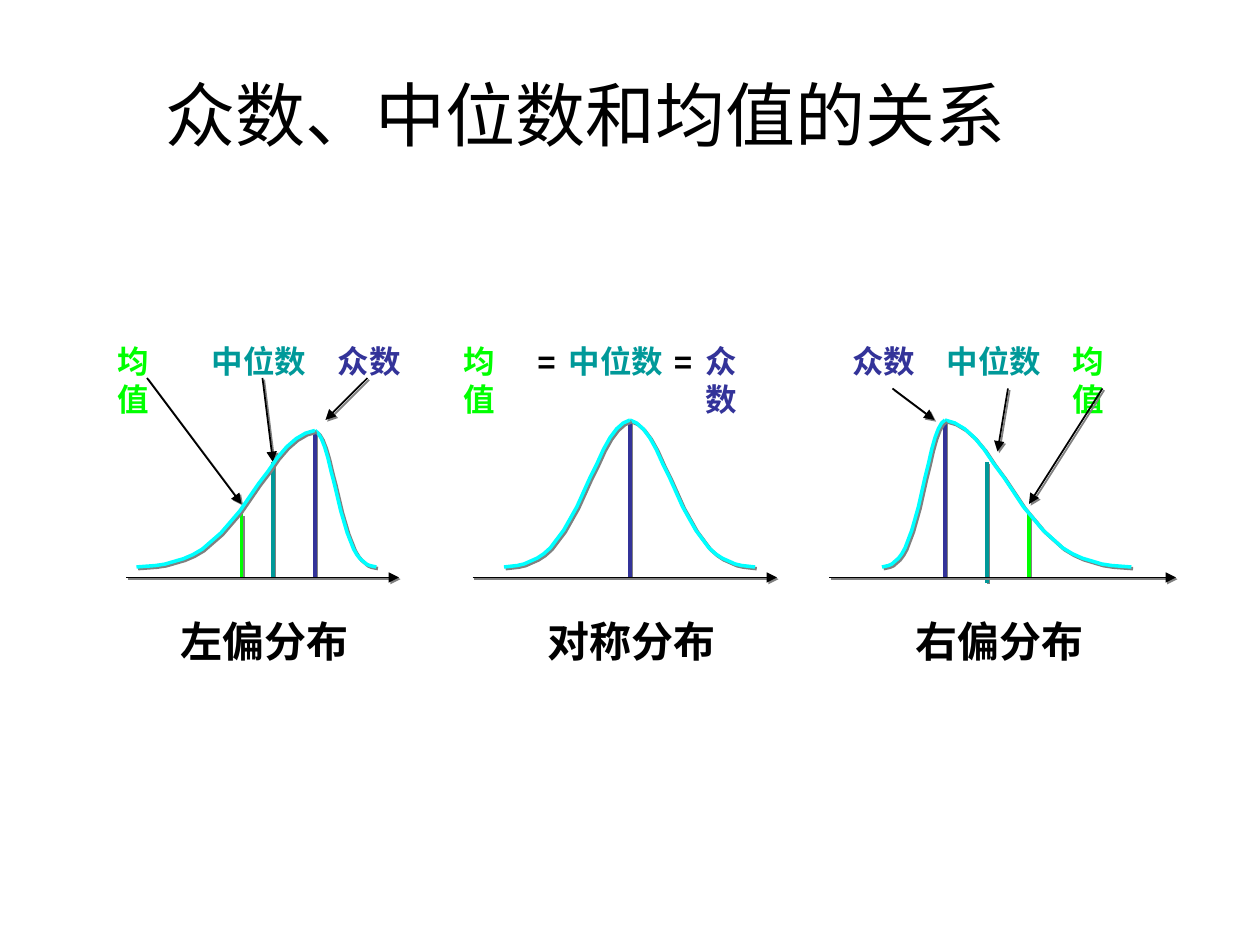
from dataclasses import dataclass
from itertools import pairwise

from lxml.etree import SubElement
from pptx import Presentation
from pptx.dml.color import RGBColor
from pptx.enum.shapes import MSO_CONNECTOR
from pptx.enum.text import MSO_ANCHOR, PP_ALIGN
from pptx.oxml.ns import qn
from pptx.util import Pt


@dataclass(frozen=True)
class Theme:
    """Colours, font and sizes of the slide."""
    ink: str = "000000"
    mean: str = "00FF00"
    median: str = "009999"
    mode: str = "333399"
    curve: str = "00FFFF"
    shade: str = "808080"
    font: str = "Arial"
    title: int = 40
    caption: int = 24
    label: int = 18
    thin: int = 1
    thick: int = 2
    shade_offset: float = 1.4


def add_shade(properties, theme):
    """Give line or run properties a hard diagonal shadow."""
    effects = SubElement(properties, qn("a:effectLst"))
    shadow = SubElement(effects, qn("a:outerShdw"), blurRad="0",
                        dist=str(Pt(theme.shade_offset)), dir="2700000", algn="ctr", rotWithShape="0")
    SubElement(shadow, qn("a:srgbClr"), val=theme.shade)


def write_text(frame, text, theme, size, color, bold=True, align=PP_ALIGN.LEFT, shaded=True):
    """Write one formatted line of text into a frame."""
    paragraph = frame.paragraphs[0]
    paragraph.alignment = align
    run = paragraph.add_run()
    run.text = text
    run.font.size, run.font.bold = Pt(size), bold
    run.font.color.rgb = RGBColor.from_string(color)
    if shaded:
        add_shade(run.font._element, theme)
    run.font.name = theme.font


class Diagram:
    """Draws text, lines and curves on one slide in one theme."""

    PROFILE = list(zip((0, 2, 3, 4, 5, 6, 7, 9, 11, 13, 14, 15, 16, 17, 18, 19),
                       (0, .01, .02, .04, .06, .09, .13, .25, .41, .61, .7, .8, .88, .94, .98, 1)))

    def __init__(self, slide, theme):
        """Keep the slide and the theme."""
        self.shapes, self.theme = slide.shapes, theme

    def text(self, text, left, top, width, height, anchor=MSO_ANCHOR.TOP, **style):
        """Add a wrapping text box."""
        frame = self.shapes.add_textbox(Pt(left), Pt(top), Pt(width), Pt(height)).text_frame
        frame.word_wrap, frame.vertical_anchor = True, anchor
        write_text(frame, text, self.theme, **style)

    def outline(self, shape, color, weight):
        """Style the line of a shape and shade it."""
        shape.line.color.rgb = RGBColor.from_string(color)
        shape.line.width = Pt(weight)
        add_shade(shape._element.spPr, self.theme)

    def line(self, start, end, color, weight):
        """Add a straight line."""
        line = self.shapes.add_connector(MSO_CONNECTOR.STRAIGHT, *map(Pt, (*start, *end)))
        self.outline(line, color, weight)
        return line

    def arrow(self, start, end):
        """Add a thin line with an arrowhead at its end."""
        arrow = self.line(start, end, self.theme.ink, self.theme.thin)
        SubElement(arrow.line._get_or_add_ln(), qn("a:tailEnd"), type="triangle")

    def flank(self, foot, peak):
        """Add one side of a bell curve, from foot to peak."""
        (x0, y0), (x1, y1) = foot, peak
        points = [(Pt(x0 + (x1 - x0) * step / 19), Pt(y0 + (y1 - y0) * rise))
                  for step, rise in self.PROFILE]
        builder = self.shapes.build_freeform(*points[0])
        builder.add_line_segments(points[1:], close=False)
        flank = builder.convert_to_shape()
        flank.fill.background()
        self.outline(flank, self.theme.curve, self.theme.thick)

    def distribution(self, caption, caption_left, labels, axis, feet, peak, sticks, pointers):
        """Add one distribution with labels, markers, axis and curve."""
        theme = self.theme
        self.text(caption, caption_left, 348, 112, 36, size=theme.caption, color=theme.ink)
        for text, left, width, color in labels:
            self.text(text, left, 192, width, 29, size=theme.label, color=color)
        for x, top, bottom, color in sticks:
            self.line((x, top), (x, bottom), color, theme.thick)
        for start, end in pointers:
            self.arrow(start, end)
        self.arrow(*((x, AXIS) for x in axis))
        for foot in feet:
            self.flank((foot, FOOT), peak)


AXIS, FOOT = 330, 324
SPLIT, WHOLE, WIDE, SIGN = 49, 52, 70, 30
theme = Theme()
MEAN, MEDIAN, MODE = ("均值", "中位数", "众数")

deck = Presentation()
deck.slide_width, deck.slide_height = Pt(720), Pt(540)
diagram = Diagram(deck.slides.add_slide(deck.slide_layouts[6]), theme)

diagram.text("众数、中位数和均值的关系", 70.5, 20, 528, 90, anchor=MSO_ANCHOR.MIDDLE,
             size=theme.title, color=theme.ink, bold=False, align=PP_ALIGN.CENTER, shaded=False)

diagram.distribution(
    "左偏分布", 96,
    labels=[(MEAN, 60, SPLIT, theme.mean), (MEDIAN, 114, WIDE, theme.median),
            (MODE, 186, WHOLE, theme.mode)],
    axis=(72, 228), feet=(215, 78), peak=(180, 246),
    sticks=[(180, 246, AXIS, theme.mode), (156, 264, AXIS, theme.median),
            (138, 294, AXIS, theme.mean)],
    pointers=[((210, 216), (186, 240)), ((150, 216), (156, 264)), ((84, 216), (138, 288))])

diagram.distribution(
    "对称分布", 306,
    labels=[(MEAN, 258, SPLIT, theme.mean), ("=", 300, SIGN, theme.ink),
            (MEDIAN, 318, WIDE, theme.median), ("=", 378, SIGN, theme.ink),
            (MODE, 396, SPLIT, theme.mode)],
    axis=(270, 444), feet=(431.5, 288), peak=(360, 240),
    sticks=[(360, 240, 318, theme.median), (360, 240, 318, theme.mean),
            (360, 240, AXIS, theme.mode)],
    pointers=[])

diagram.distribution(
    "右偏分布", 516,
    labels=[(MODE, 480, WHOLE, theme.mode), (MEDIAN, 534, WIDE, theme.median),
            (MEAN, 606, SPLIT, theme.mean)],
    axis=(474, 672), feet=(646.5, 504), peak=(540, 240),
    sticks=[(540, 240, AXIS, theme.mode), (564, 264, 333, theme.median),
            (588, 294, AXIS, theme.mean)],
    pointers=[((510, 222), (534, 240)), ((576, 222), (570, 258)), ((630, 222), (588, 288))])

deck.save("out.pptx")
